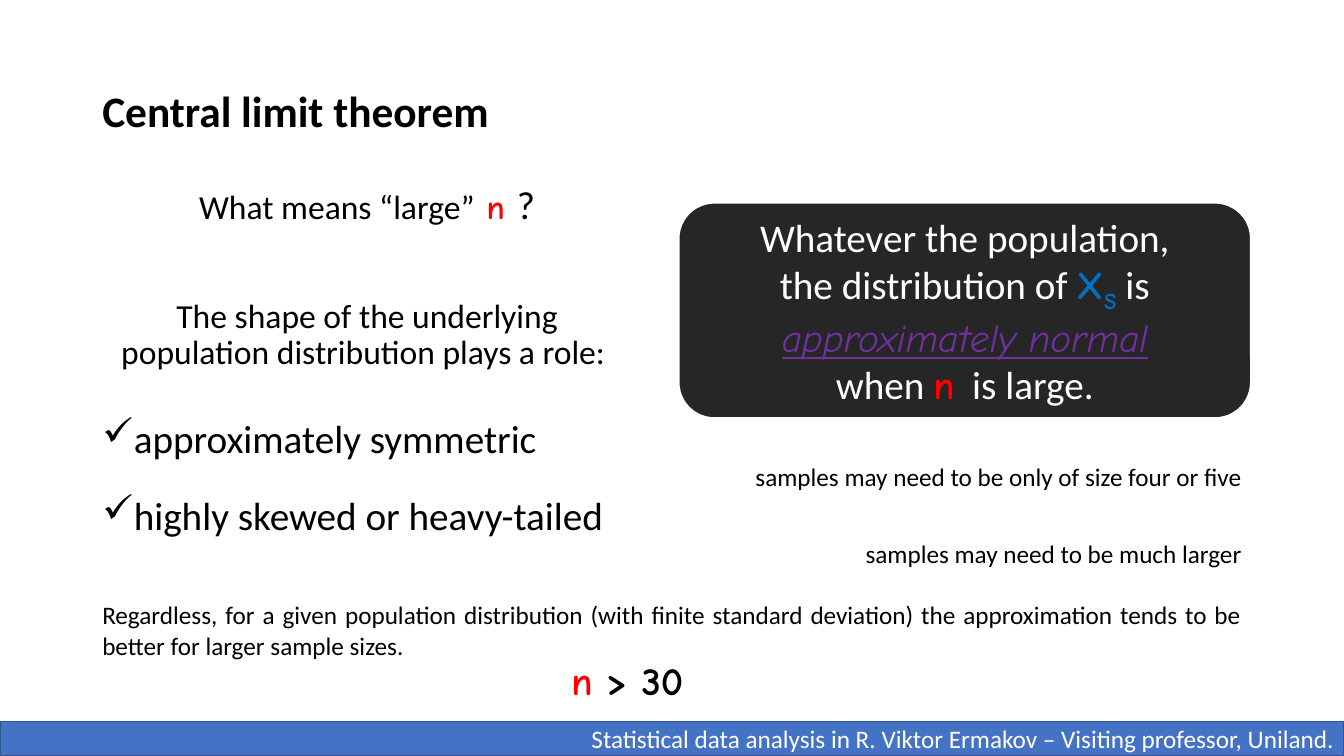
from lxml.etree import SubElement
from pptx import Presentation
from pptx.dml.color import RGBColor
from pptx.enum.shapes import MSO_SHAPE as Preset
from pptx.enum.text import MSO_ANCHOR as Anchor, PP_ALIGN as Align
from pptx.oxml.ns import qn
from pptx.util import Pt

BLACK = RGBColor(0x00, 0x00, 0x00)
WHITE = RGBColor(0xFF, 0xFF, 0xFF)
RED = RGBColor(0xFF, 0x00, 0x00)
BLUE = RGBColor(0x00, 0x70, 0xC0)
PURPLE = RGBColor(0x70, 0x30, 0xA0)
CHARCOAL = RGBColor(0x26, 0x26, 0x26)
BAR_FILL = RGBColor(0x44, 0x72, 0xC4)
BAR_LINE = RGBColor(0x32, 0x54, 0x91)

HAND = {"name": "Comic Neue", "bold": True}
LEFT, WIDTH = 66, 828  # shared text column


class SlideBuilder:
    """Holds the text style and the slide being built."""

    font = "Calibri"

    def __init__(self, slide):
        self.slide = slide

    def text(self, frame, paras, color=BLACK, anchor=Anchor.TOP):
        """Each paragraph is (runs, paragraph format); each run is (text, font format)."""
        frame.word_wrap = True
        frame.vertical_anchor = anchor
        for index, (runs, layout) in enumerate(paras):
            para = frame.paragraphs[0] if index == 0 else frame.add_paragraph()
            for key, value in layout.items():
                if key == "bullet":
                    self.bullet(para, value)
                else:
                    setattr(para, key, value)
            for words, style in runs:
                self.run(para, words, {"name": self.font, "color": color, **style})

    def run(self, para, words, style):
        span = para.add_run()
        span.text = words
        for key, value in style.items():
            if key == "color":
                span.font.color.rgb = value
            elif key == "baseline":
                span._r.get_or_add_rPr().set("baseline", str(value))
            else:
                setattr(span.font, key, value)

    def bullet(self, para, mark):
        props = para._p.get_or_add_pPr()
        indent = Pt(22.5)
        props.set("marL", str(indent))
        props.set("indent", str(-indent))
        SubElement(props, qn("a:buChar")).set("char", mark)

    def text_box(self, left, top, width, height, paras, **options):
        box = self.slide.shapes.add_textbox(Pt(left), Pt(top), Pt(width), Pt(height))
        self.text(box.text_frame, paras, **options)

    def shape(self, preset, left, top, width, height, fill, line, weight, paras):
        box = self.slide.shapes.add_shape(preset, Pt(left), Pt(top), Pt(width), Pt(height))
        box.shadow.inherit = False
        box.fill.solid()
        box.fill.fore_color.rgb = fill
        box.line.color.rgb = line
        box.line.width = Pt(weight)
        self.text(box.text_frame, paras, color=WHITE, anchor=Anchor.MIDDLE)


deck = Presentation()
deck.slide_width, deck.slide_height = Pt(960), Pt(540)
page = SlideBuilder(deck.slides.add_slide(deck.slide_layouts[6]))

# Font sizes and paragraph formats
SMALL, MEDIUM, LARGE = ({"size": Pt(size)} for size in (18, 24, 28))
CENTER, RIGHT = {"alignment": Align.CENTER}, {"alignment": Align.RIGHT}
TIGHT = {**CENTER, "line_spacing": 0.9}
CHECK = {"alignment": Align.LEFT, "bullet": "✓"}

# Title
page.text_box(LEFT, 28.8, WIDTH, 104.4, [
    ([("Central limit theorem", {"size": Pt(31), "bold": True})], {"line_spacing": 0.9}),
], anchor=Anchor.MIDDLE)

# Question about sample size
page.text_box(LEFT, 128.9, 392.4, 133.2, [
    ([("What means “large”", MEDIUM),
      (" n ", {**MEDIUM, **HAND, "color": RED}),
      ("?", LARGE)], {**TIGHT, "space_before": Pt(10)}),
    ([("The shape of the underlying population distribution plays a role: ", MEDIUM)],
     {**TIGHT, "space_before": Pt(51)}),
])

# Footer bar
page.shape(Preset.RECTANGLE, 0, 515.5, 960, 24.5, BAR_FILL, BAR_LINE, 1, [
    ([("Statistical data analysis in R. Viktor Ermakov – Visiting professor, Uniland.",
       SMALL)], RIGHT),
])

# Theorem card
page.shape(Preset.ROUNDED_RECTANGLE, 484.6, 144.7, 409, 154.1, CHARCOAL, WHITE, 1.5, [
    ([("Whatever the population,", LARGE)], CENTER),
    ([("the distribution of ", LARGE),
      ("X", {**LARGE, **HAND, "color": BLUE}),
      ("S", {**LARGE, **HAND, "color": BLUE, "baseline": -25000}),
      (" is", LARGE)], CENTER),
    ([("approximately normal", {**LARGE, "name": "Comic Neue", "color": PURPLE,
                                "italic": True, "underline": True})], CENTER),
    ([("when ", LARGE),
      ("n", {**LARGE, **HAND, "color": RED}),
      ("  is large.", LARGE)], CENTER),
])

# Population shapes and the sample sizes they need
page.text_box(LEFT, 292.3, WIDTH, 184.3, [
    ([("approximately symmetric", LARGE)], CHECK),
    ([("samples may need to be only of size four or five", SMALL)], RIGHT),
    ([("highly skewed or heavy-tailed", LARGE)], CHECK),
    ([("samples may need to be much larger", SMALL)], RIGHT),
    ([("Regardless, for a given population distribution (with finite standard deviation) "
       "the approximation tends to be better for larger sample sizes.", SMALL)],
     {"alignment": Align.JUSTIFY, "space_before": Pt(22)}),
])

# Rule of thumb
page.text_box(401, 465.1, 113.8, 41, [
    ([("n", {**LARGE, **HAND, "color": RED}), (" > 30", {**LARGE, **HAND})], {}),
])

deck.save("out.pptx")
